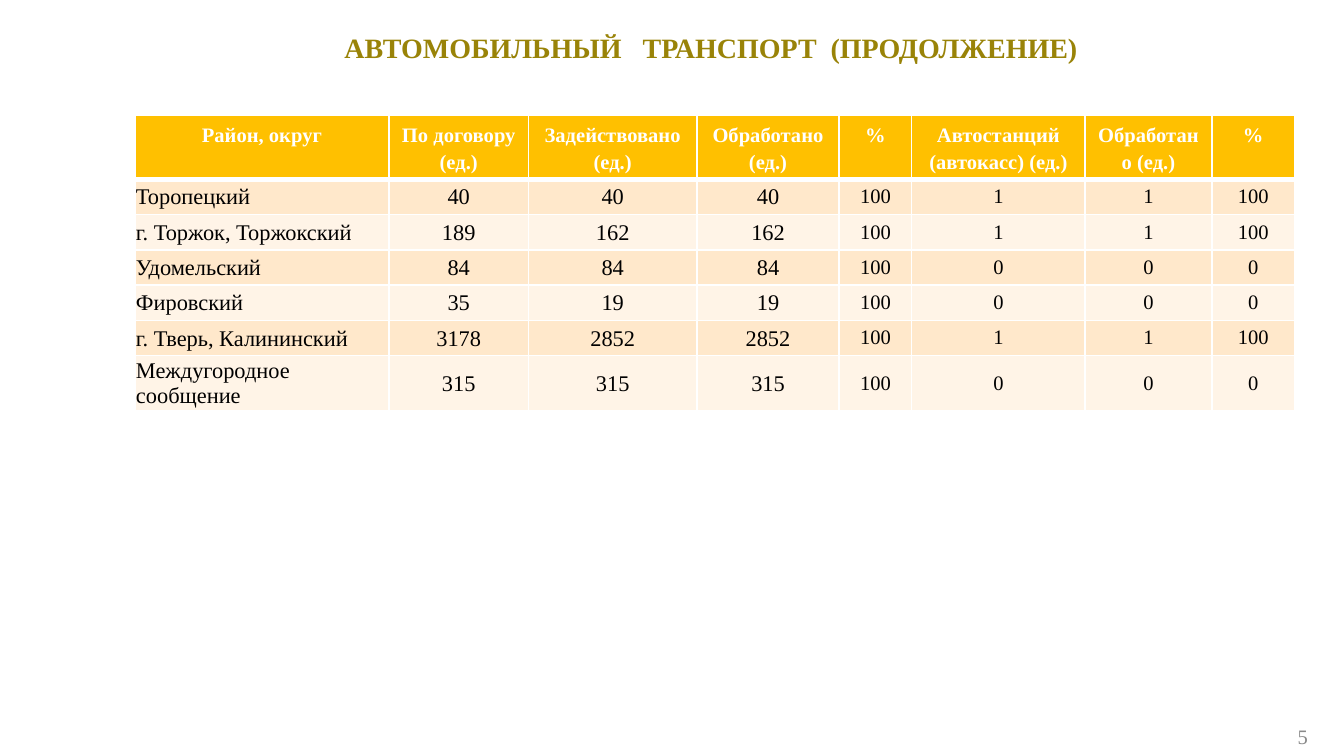
"""Build the road transport slide with its district table."""
from dataclasses import dataclass

from lxml import etree
from pptx import Presentation
from pptx.dml.color import RGBColor
from pptx.enum.text import MSO_ANCHOR, PP_ALIGN
from pptx.oxml.ns import qn
from pptx.util import Cm, Pt

LEFT, CENTER, RIGHT = PP_ALIGN.LEFT, PP_ALIGN.CENTER, PP_ALIGN.RIGHT
TOP, MIDDLE = MSO_ANCHOR.TOP, MSO_ANCHOR.MIDDLE


@dataclass(frozen=True)
class Theme:
    font: str = "Times New Roman"
    title: str = "998308"
    header: str = "FFC000"
    bands: tuple = ("FFE8CB", "FFF4E7")
    white: str = "FFFFFF"
    ink: str = "000000"
    muted: str = "898989"
    title_size: float = 15
    count_size: float = 12
    small_size: float = 11
    header_leading: float = 14.4
    thin: float = 1
    thick: float = 3


THEME = Theme()
WIDE_INSETS = (0.18, 0.1, 0.18, 0.1)
TIGHT_INSETS = (0.02, 0.02, 0.02, 0)
COLUMN_WIDTHS = (4.8, 2.64, 3.18, 2.69, 1.37, 3.28, 2.39, 1.57)
ROW_HEIGHTS = (1.17, 0.66, 0.66, 0.66, 0.66, 0.66, 1.04)
COUNT_COLUMNS = 4
HEADERS = (
    "Район, округ", "По договору (ед.)", "Задействовано\n(ед.)",
    "Обработано\n(ед.)", "%", "Автостанций (автокасс) (ед.)",
    "Обработано (ед.)", "%",
)
DISTRICTS = (
    ("Торопецкий", 40, 40, 40, 100, 1, 1, 100),
    ("г. Торжок, Торжокский", 189, 162, 162, 100, 1, 1, 100),
    ("Удомельский", 84, 84, 84, 100, 0, 0, 0),
    ("Фировский", 35, 19, 19, 100, 0, 0, 0),
    ("г. Тверь, Калининский", 3178, 2852, 2852, 100, 1, 1, 100),
    ("Междугородное сообщение", 315, 315, 315, 100, 0, 0, 0),
)


def write_text(frame, text, *, size, color, bold=False, align=LEFT, leading=None):
    for index, line in enumerate(text.split("\n")):
        para = frame.add_paragraph() if index else frame.paragraphs[0]
        para.alignment = align
        if leading:
            para.line_spacing = Pt(leading)
        span = para.add_run()
        span.text = line
        span.font.name = THEME.font
        span.font.size = Pt(size)
        span.font.bold = bold
        span.font.color.rgb = RGBColor.from_string(color)


def set_insets(holder, insets):
    sides = ("margin_left", "margin_top", "margin_right", "margin_bottom")
    for side, inset in zip(sides, insets):
        setattr(holder, side, Cm(inset))


def add_text_box(page, position, text, *, anchor=TOP, **text_format):
    box = page.shapes.add_textbox(*map(Cm, position))
    frame = box.text_frame
    frame.word_wrap = True
    frame.vertical_anchor = anchor
    set_insets(frame, WIDE_INSETS)
    write_text(frame, text, **text_format)


def set_borders(cell, *, top, bottom):
    properties = cell._tc.get_or_add_tcPr()
    widths = {"L": THEME.thin, "R": THEME.thin, "T": top, "B": bottom}
    for side, width in widths.items():
        line = etree.SubElement(properties, qn(f"a:ln{side}"), w=str(Pt(width)))
        fill = etree.SubElement(line, qn("a:solidFill"))
        etree.SubElement(fill, qn("a:srgbClr"), val=THEME.white)


def fill_cell(cell, text, *, background, insets, anchor, top=THEME.thin,
              bottom=THEME.thin, **text_format):
    set_borders(cell, top=top, bottom=bottom)
    cell.fill.solid()
    cell.fill.fore_color.rgb = RGBColor.from_string(background)
    cell.vertical_anchor = anchor
    set_insets(cell, insets)
    write_text(cell.text_frame, text, **text_format)


def fill_header(table):
    for column, text in enumerate(HEADERS):
        fill_cell(table.cell(0, column), text, background=THEME.header,
                  insets=WIDE_INSETS, anchor=TOP, bottom=THEME.thick,
                  size=THEME.small_size, color=THEME.white, bold=True,
                  align=CENTER, leading=THEME.header_leading)


def fill_district(table, row, values):
    for column, value in enumerate(values):
        is_count = column < COUNT_COLUMNS
        fill_cell(table.cell(row, column), str(value),
                  background=THEME.bands[(row - 1) % 2],
                  insets=TIGHT_INSETS if is_count else WIDE_INSETS,
                  anchor=MIDDLE,
                  top=THEME.thick if row == 1 else THEME.thin,
                  size=THEME.count_size if is_count else THEME.small_size,
                  color=THEME.ink,
                  align=CENTER if column else LEFT)


def add_district_table(page):
    table = page.shapes.add_table(
        len(ROW_HEIGHTS), len(COLUMN_WIDTHS), Cm(2.55), Cm(2.17),
        Cm(sum(COLUMN_WIDTHS)), Cm(sum(ROW_HEIGHTS))).table
    for column, width in zip(table.columns, COLUMN_WIDTHS):
        column.width = Cm(width)
    for row, height in zip(table.rows, ROW_HEIGHTS):
        row.height = Cm(height)
    fill_header(table)
    for row, values in enumerate(DISTRICTS, start=1):
        fill_district(table, row, values)


def main():
    deck = Presentation()
    deck.slide_width, deck.slide_height = Cm(25.4), Cm(14.29)
    page = deck.slides.add_slide(deck.slide_layouts[6])
    add_text_box(page, (19.18, 13.54, 5.72, 0.76), "5", anchor=MIDDLE,
                 size=THEME.small_size, color=THEME.muted, align=RIGHT)
    add_text_box(page, (3.33, 0.48, 20.22, 1.63),
                 "АВТОМОБИЛЬНЫЙ   ТРАНСПОРТ  (ПРОДОЛЖЕНИЕ)",
                 size=THEME.title_size, color=THEME.title, bold=True, align=CENTER)
    add_district_table(page)
    deck.save("out.pptx")


if __name__ == "__main__":
    main()
